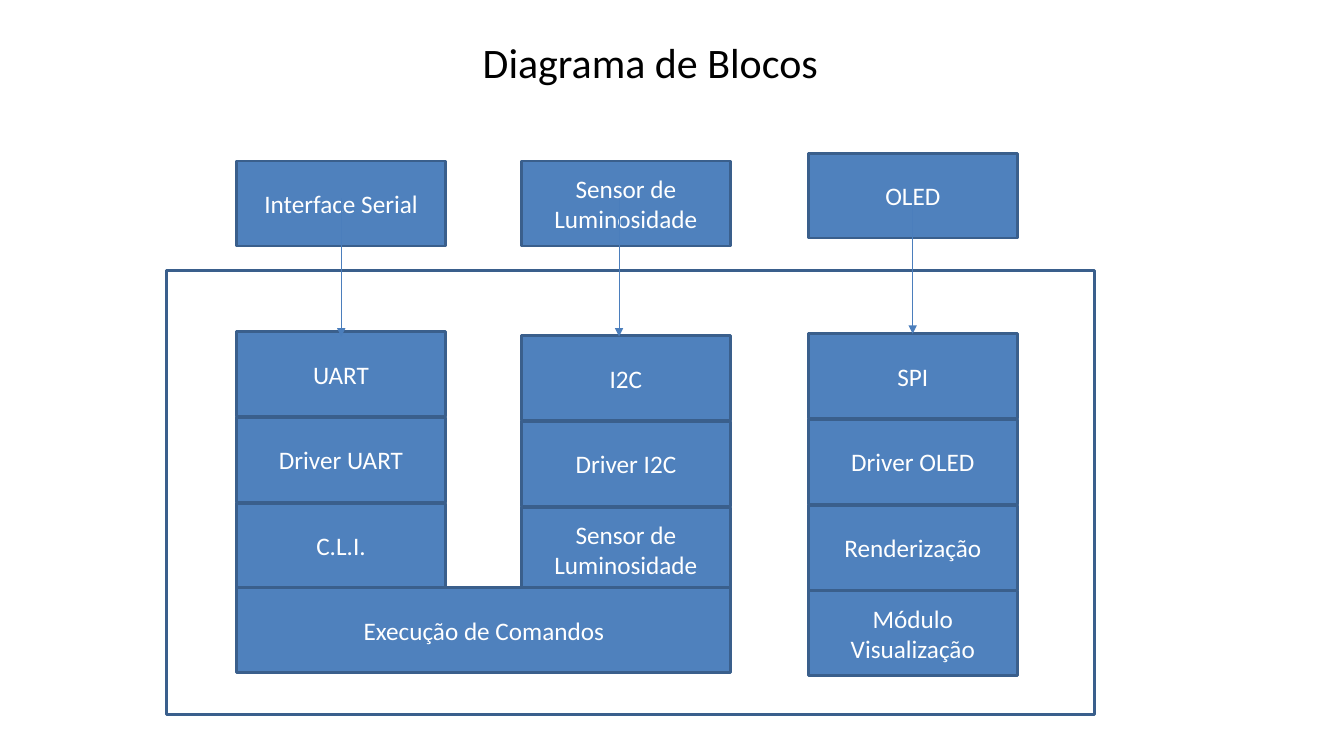
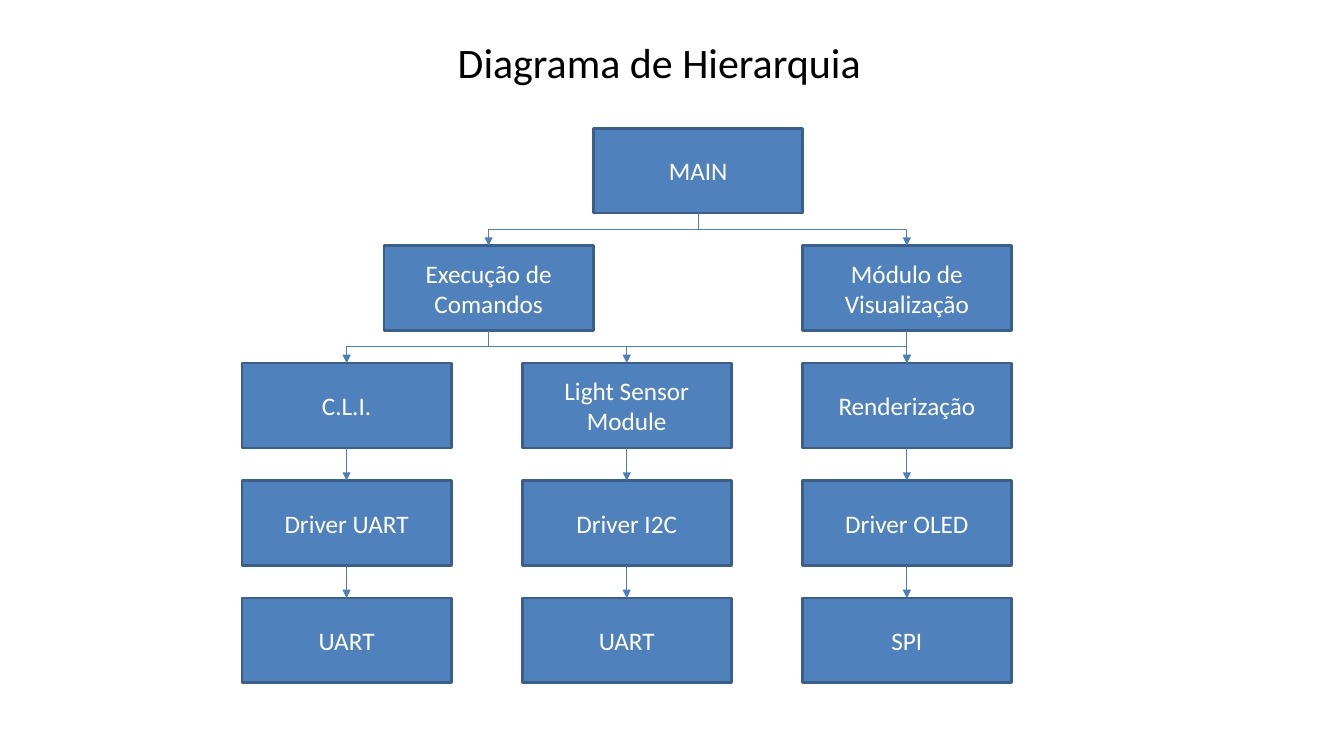
from pptx import Presentation
from pptx.dml.color import RGBColor
from pptx.enum.shapes import MSO_CONNECTOR, MSO_SHAPE
from pptx.enum.text import MSO_ANCHOR, MSO_AUTO_SIZE, PP_ALIGN
from pptx.oxml.ns import qn
from pptx.util import Cm, Pt
from lxml import etree

RECT = MSO_SHAPE.RECTANGLE
STRAIGHT, ELBOW = MSO_CONNECTOR.STRAIGHT, MSO_CONNECTOR.ELBOW
TOP, MIDDLE = MSO_ANCHOR.TOP, MSO_ANCHOR.MIDDLE
LEFT, CENTER = PP_ALIGN.LEFT, PP_ALIGN.CENTER
NO_FIT = MSO_AUTO_SIZE.NONE

BLUE = RGBColor(0x4F, 0x81, 0xBD)
EDGE = RGBColor(0x3A, 0x5F, 0x8C)
LINK = RGBColor(0x4B, 0x7E, 0xBC)
WHITE = RGBColor(0xFF, 0xFF, 0xFF)
BLACK = RGBColor(0, 0, 0)
FONT = "Calibri"

BOX_W, BOX_H = 5.27, 2.14
BOTTOM_SITE, TOP_SITE = 2, 0


def write(frame, text, size, color, align, anchor):
    frame.word_wrap = True
    frame.auto_size = NO_FIT
    frame.vertical_anchor = anchor
    para = frame.paragraphs[0]
    para.alignment = align
    run = para.add_run()
    run.text = text
    run.font.name = FONT
    run.font.size = Pt(size)
    run.font.color.rgb = color


def add_slide(deck, title, left, width):
    slide = deck.slides.add_slide(deck.slide_layouts[5])
    head = slide.shapes.title
    head.left, head.top = Cm(left), Cm(0.79)
    head.width, head.height = Cm(width), Cm(2.79)
    write(head.text_frame, title, 30, BLACK, LEFT, TOP)
    return slide


def add_rect(slide, left, top, width, height, fill):
    rect = slide.shapes.add_shape(RECT, Cm(left), Cm(top), Cm(width), Cm(height))
    rect.shadow.inherit = False
    rect.fill.solid()
    rect.fill.fore_color.rgb = fill
    rect.line.color.rgb = EDGE
    rect.line.width = Pt(2)
    return rect


def add_box(slide, text, left, top, width=BOX_W):
    box = add_rect(slide, left, top, width, BOX_H, BLUE)
    write(box.text_frame, text, 18, WHITE, CENTER, MIDDLE)
    return box


def style_link(link):
    link.line.color.rgb = LINK
    link.line.width = Pt(0.75)
    tail = etree.SubElement(link.line._get_or_add_ln(), qn("a:tailEnd"))
    tail.set("type", "triangle")
    etree.SubElement(link._element.spPr, qn("a:effectLst"))


def add_arrow(slide, left, top, length):
    link = slide.shapes.add_connector(
        STRAIGHT, Cm(left), Cm(top), Cm(left), Cm(top + length))
    style_link(link)


def turn(link):
    wide, high = link.width, link.height
    mid_x, mid_y = link.left + wide // 2, link.top + high // 2
    right = link.end_x > link.begin_x
    link.left, link.top = mid_x - high // 2, mid_y - wide // 2
    link.width, link.height = high, wide
    frame = link._element.spPr.find(qn("a:xfrm"))
    frame.set("rot", str((270 if right else 90) * 60000))
    frame.set("flipH", "1" if right else "0")


def join(slide, start, end):
    bent = abs(start.left - end.left) > Cm(0.1)
    link = slide.shapes.add_connector(ELBOW if bent else STRAIGHT, 0, 0, 0, 0)
    link.begin_connect(start, BOTTOM_SITE)
    link.end_connect(end, TOP_SITE)
    if bent:
        turn(link)
    style_link(link)


def block_slide(deck):
    slide = add_slide(deck, "Diagrama de Blocos", 11.91, 9.5)
    add_rect(slide, 4.19, 6.81, 23.39, 11.2, WHITE)
    stacks = [
        (5.96, "Interface Serial", 4.06, 8.36,
         ["UART", "Driver UART", "C.L.I."]),
        (13.14, "Sensor de Luminosidade", 4.06, 8.46,
         ["I2C", "Driver I2C", "Sensor de Luminosidade"]),
        (20.37, "OLED", 3.86, 8.41,
         ["SPI", "Driver OLED", "Renderização", "Módulo Visualização"]),
    ]
    for left, device, top, base, parts in stacks:
        add_box(slide, device, left, top)
        for row, part in enumerate(parts):
            add_box(slide, part, left, base + row * 2.16)
    add_box(slide, "Execução de Comandos", 5.97, 14.81, 12.45)
    for left, top in [(8.6, 5), (15.6, 5), (23, 4.93)]:
        add_arrow(slide, left, top, 3.48)


def tree_slide(deck):
    slide = add_slide(deck, "Diagrama de Hierarquia", 11.28, 10.77)
    tops = [3.23 + row * 2.96 for row in range(5)]
    lefts = [6.1 + col * 7.06 for col in range(3)]
    main_box = add_box(slide, "MAIN", 14.96, tops[0])
    runner = add_box(slide, "Execução de Comandos", 9.68, tops[1])
    viewer = add_box(slide, "Módulo de Visualização", lefts[2], tops[1])
    chains = [
        ["C.L.I.", "Driver UART", "UART"],
        ["Light Sensor Module", "Driver I2C", "UART"],
        ["Renderização", "Driver OLED", "SPI"],
    ]
    pairs = [(main_box, runner), (main_box, viewer)]
    for left, names in zip(lefts, chains):
        boxes = [add_box(slide, name, left, top)
                 for name, top in zip(names, tops[2:])]
        pairs.append((runner, boxes[0]))
        pairs += zip(boxes, boxes[1:])
    pairs.append((viewer, boxes[0]))
    for start, end in pairs:
        join(slide, start, end)


def main():
    deck = Presentation()
    deck.slide_width, deck.slide_height = Cm(33.87), Cm(19.05)
    block_slide(deck)
    tree_slide(deck)
    deck.save("out.pptx")


if __name__ == "__main__":
    main()
